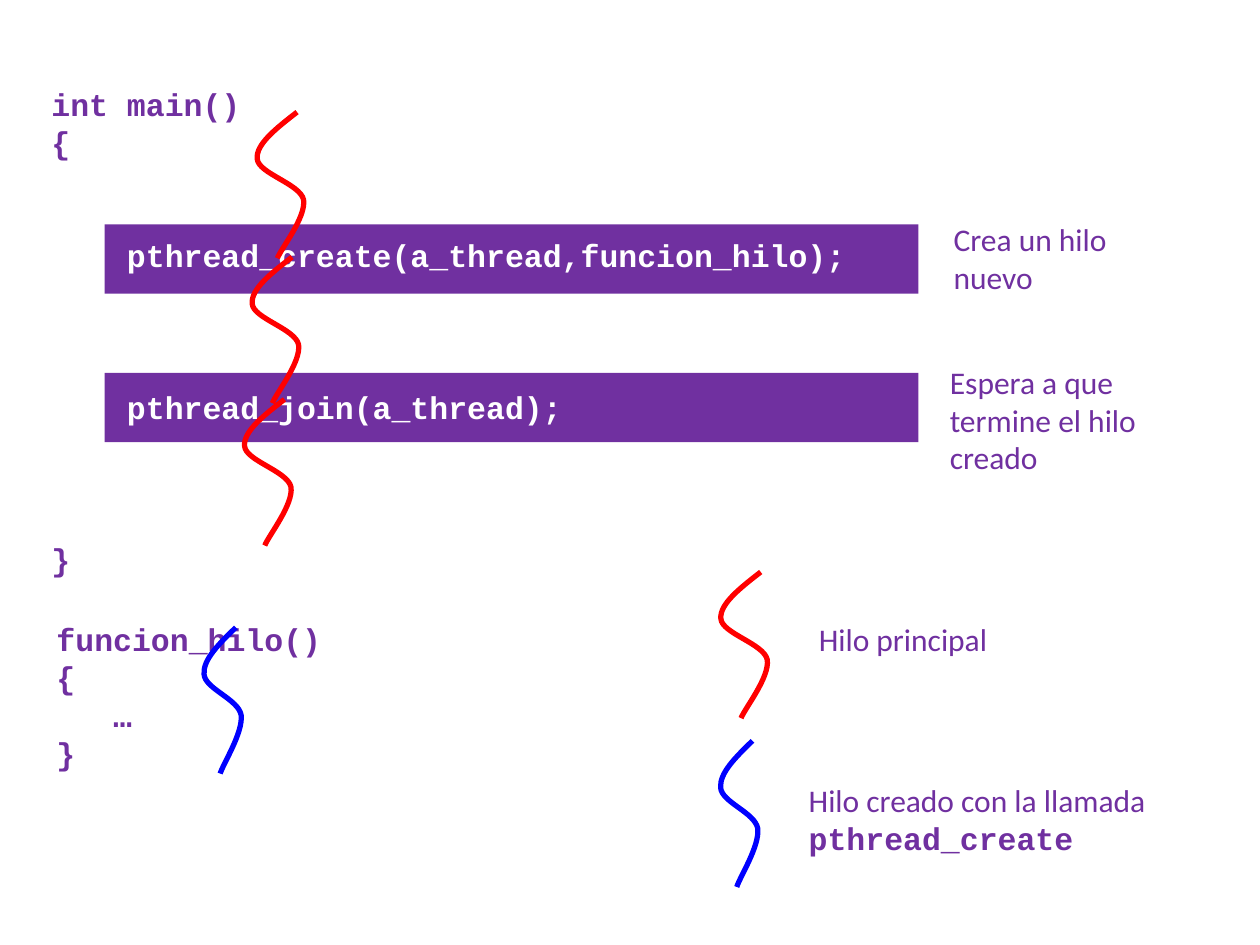
from lxml import etree
from pptx import Presentation
from pptx.dml.color import RGBColor
from pptx.enum.shapes import MSO_SHAPE
from pptx.oxml.ns import qn
from pptx.util import Inches, Pt

RECTANGLE = MSO_SHAPE.RECTANGLE
SLIDE_WIDTH, SLIDE_HEIGHT = 10, 7.5
BLANK_LAYOUT = 6
COLORS = {"purple": "7030A0", "white": "FFFFFF", "main": "FF0000", "created": "0000FF"}
PROSE = {"name": "Calibri", "size": Pt(18), "bold": False}
CODE = {"name": "Courier New", "size": Pt(18), "bold": True}
CODE_PITCH = 21.7  # points from one code line to the next
CHAR_WIDTH = 0.15  # inches per code character

# Start point, then three Bezier segments, as shares of a thread's box
THREAD_CURVE = [
    (0.82, 0), (0.41, 0.11), (0, 0.22), (0.03, 0.32),
    (0.05, 0.42), (0.88, 0.49), (0.95, 0.6),
    (1, 0.72), (0.51, 0.93), (0.43, 1),
]
THREAD_HEIGHT = 1.16
THREAD_WIDTHS = {"main": 0.4, "created": 0.32}
THREADS = [
    ("main", 2.03, 0.89), ("created", 1.61, 4.98), ("main", 1.99, 2.04),
    ("main", 1.93, 3.17), ("created", 5.71, 5.88), ("main", 5.71, 4.54),
]

# Code lines: text, indent in characters, empty rows above, colour
MAIN_CODE = [
    ("int main()", 0, 0, "purple"),
    ("{", 0, 0, "purple"),
    ("pthread_create(a_thread,funcion_hilo);", 4, 2, "white"),
    ("pthread_join(a_thread);", 4, 3, "white"),
    ("}", 0, 3, "purple"),
]
THREAD_CODE = [
    ("funcion_hilo()", 0, 0, "purple"),
    ("{", 0, 0, "purple"),
    ("…", 3, 0, "purple"),
    ("}", 0, 0, "purple"),
]
NOTES = [
    ((7.47, 1.7, 1.94, 0.7), [("Crea un hilo nuevo", PROSE)]),
    ((7.44, 2.83, 2.23, 1), [("Espera a que termine el hilo creado", PROSE)]),
    ((6.4, 4.87, 1.6, 0.4), [("Hilo principal", PROSE)]),
    ((6.32, 6.15, 3.33, 0.7),
     [("Hilo creado con la llamada ", PROSE), ("pthread_create", CODE)]),
]


def rgb(color):
    """Return the named colour."""
    return RGBColor.from_string(COLORS[color])


def add_bar(slide, top):
    """Add the band behind a highlighted call."""
    bar = slide.shapes.add_shape(
        RECTANGLE, *(Inches(n) for n in (0.83, top, 6.46, 0.55)))
    bar.shadow.inherit = False
    bar.fill.solid()
    bar.fill.fore_color.rgb = rgb("purple")
    bar.line.fill.background()


def add_frame(slide, box):
    """Add a wrapping text box and return its text frame."""
    frame = slide.shapes.add_textbox(*(Inches(n) for n in box)).text_frame
    frame.word_wrap = True
    return frame


def add_run(paragraph, text, style, color):
    """Add formatted text to a paragraph."""
    run = paragraph.add_run()
    run.text = text
    for attribute, value in style.items():
        setattr(run.font, attribute, value)
    run.font.color.rgb = rgb(color)


def add_code(slide, box, lines):
    """Add a code listing with evenly pitched lines."""
    frame = add_frame(slide, box)
    for index, (text, indent, gap, color) in enumerate(lines):
        paragraph = frame.add_paragraph() if index else frame.paragraphs[0]
        paragraph.line_spacing = Pt(CODE_PITCH)
        paragraph.space_before = Pt(gap * CODE_PITCH)
        paragraph._p.get_or_add_pPr().set("marL", str(Inches(indent * CHAR_WIDTH)))
        add_run(paragraph, text, CODE, color)


def add_note(slide, box, parts):
    """Add an explanation made of prose and code parts."""
    paragraph = add_frame(slide, box).paragraphs[0]
    for text, style in parts:
        add_run(paragraph, text, style, "purple")


def add_thread(slide, kind, left, top):
    """Add a wavy line that stands for one thread."""
    points = [(Inches(left + x * THREAD_WIDTHS[kind]), Inches(top + y * THREAD_HEIGHT))
              for x, y in THREAD_CURVE]
    builder = slide.shapes.build_freeform(*points[0])
    builder.add_line_segments(points[1:], close=False)
    thread = builder.convert_to_shape()
    thread.shadow.inherit = False
    thread.fill.background()
    thread.line.color.rgb = rgb(kind)
    thread.line.width = Pt(3)
    outline = next(thread._element.iter(qn("a:path")))
    segments = outline.findall(qn("a:lnTo"))
    for start in range(0, len(segments), 3):
        curve = etree.SubElement(outline, qn("a:cubicBezTo"))
        for segment in segments[start:start + 3]:
            curve.append(segment[0])
            outline.remove(segment)


def main():
    """Build the slide on thread creation and joining."""
    deck = Presentation()
    deck.slide_width, deck.slide_height = Inches(SLIDE_WIDTH), Inches(SLIDE_HEIGHT)
    slide = deck.slides.add_slide(deck.slide_layouts[BLANK_LAYOUT])
    for top in (2.96, 1.78):
        add_bar(slide, top)
    add_code(slide, (0.31, 0.62, 6.9, 4.01), MAIN_CODE)
    add_code(slide, (0.35, 4.87, 2.44, 1.32), THREAD_CODE)
    for thread in THREADS:
        add_thread(slide, *thread)
    for box, parts in NOTES:
        add_note(slide, box, parts)
    deck.save("out.pptx")


main()
